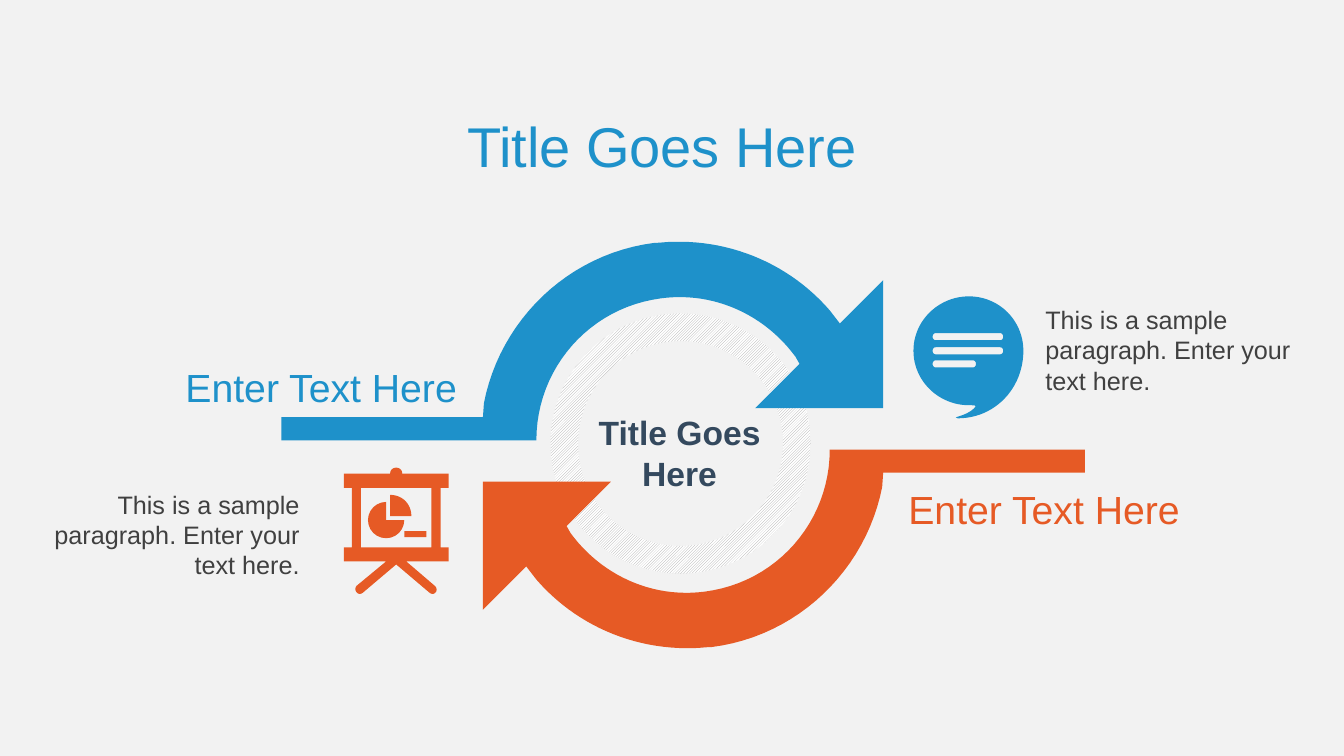
from dataclasses import dataclass

from pptx import Presentation
from pptx.dml.color import RGBColor
from pptx.enum.dml import MSO_PATTERN
from pptx.enum.shapes import MSO_SHAPE as Kind
from pptx.enum.text import MSO_ANCHOR, MSO_AUTO_SIZE as Fit, PP_ALIGN as Align
from pptx.util import Cm, Pt

BLUE, ORANGE, NAVY, GREY = "1E91CA", "E65A25", "34495E", "404040"
SAMPLE = "This is a sample paragraph. Enter your text here."

# A step holds one point for a line, or three points for a curve.
Step = tuple[float, ...]
Loop = list[Step]


@dataclass
class Label:
    text: str
    box: Step
    size: int
    hue: str
    align: Align = Align.CENTER
    bold: bool = False
    wrap: bool = True


def inch(num: float) -> Cm:
    return Cm(num * 2.54)


def color(code: str) -> RGBColor:
    return RGBColor.from_string(code)


def paint(shape, hue: str) -> None:
    shape.shadow.inherit = False
    shape.fill.solid()
    shape.fill.fore_color.rgb = color(hue)
    shape.line.fill.background()


def trace(loop: Loop, count: int = 24) -> list[tuple[int, int]]:
    """Turn lines and cubic curves into a list of points."""
    spots = [loop[0]]
    for step in loop[1:]:
        if len(step) == 2:
            spots.append(step)
            continue
        ends = (spots[-1], step[:2], step[2:4], step[4:])
        for i in range(1, count + 1):
            t = i / count
            parts = ((1 - t) ** 3, 3 * t * (1 - t) ** 2, 3 * t * t * (1 - t), t ** 3)
            spots.append(tuple(sum(w * p[k] for w, p in zip(parts, ends))
                               for k in (0, 1)))
    return [(inch(x), inch(y)) for x, y in spots]


def draw(shapes, loops: list[Loop], hue: str) -> None:
    """Draw one outline; later loops cut holes in the first."""
    first, *holes = [trace(loop) for loop in loops]
    pen = shapes.build_freeform(*first[0])
    pen.add_line_segments(first[1:], close=True)
    for hole in holes:
        pen.move_to(*hole[0])
        pen.add_line_segments(hole[1:], close=True)
    paint(pen.convert_to_shape(), hue)


def turn(loop: Loop) -> Loop:
    """Rotate a loop half a turn about the middle of the cycle."""
    return [tuple((13.55, 8.83)[i % 2] - num for i, num in enumerate(step))
            for step in loop]


def slot(left: float, right: float, mid: float) -> Loop:
    """Give a bar with round ends."""
    top, base, bulge = mid - 0.035, mid + 0.035, 0.04
    return [(left, top), (right, top),
            (right + bulge, top, right + bulge, base, right, base),
            (left, base), (left - bulge, base, left - bulge, top, left, top)]


def place(shape, box: Step) -> None:
    shape.left, shape.top, shape.width, shape.height = map(inch, box)


def write(shape, label: Label) -> None:
    para = shape.text_frame.paragraphs[0]
    para.alignment = label.align
    run = para.add_run()
    run.text = label.text
    font = run.font
    font.name, font.size, font.bold = "Arial", Pt(label.size), label.bold
    font.color.rgb = color(label.hue)


ARROW: Loop = [
    (6.67, 2.4), (7.28, 2.38, 7.85, 2.64, 8.23, 3.08), (8.33, 3.21),
    (8.76, 2.78), (8.76, 4.05), (7.49, 4.05), (7.93, 3.61), (7.89, 3.54),
    (7.59, 3.13, 7.09, 2.89, 6.56, 2.96), (5.85, 3.05, 5.32, 3.65, 5.32, 4.37),
    (2.79, 4.37), (2.79, 4.14), (4.79, 4.14), (4.8, 4),
    (4.96, 3.18, 5.63, 2.52, 6.49, 2.41), (6.55, 2.41, 6.61, 2.4, 6.67, 2.4)]
BUBBLE: Loop = [
    (9.61, 2.94), (9.91, 2.94, 10.15, 3.18, 10.15, 3.48),
    (10.15, 3.85, 9.87, 4.15, 9.5, 4.15), (9.48, 4.14),
    (9.55, 4.12, 9.63, 4.09, 9.67, 4.04), (9.69, 4.02, 9.65, 4.02, 9.61, 4.02),
    (9.31, 4.02, 9.06, 3.78, 9.06, 3.48), (9.06, 3.18, 9.31, 2.94, 9.61, 2.94)]
BOARD: Loop = [
    (3.87, 4.7), (3.87, 4.62, 3.99, 4.62, 3.99, 4.7), (4.45, 4.7), (4.45, 4.84),
    (4.37, 4.84), (4.37, 5.43), (4.45, 5.43), (4.45, 5.57), (4.03, 5.57),
    (4.31, 5.81), (4.36, 5.85, 4.31, 5.92, 4.26, 5.88), (3.93, 5.6),
    (3.6, 5.88), (3.55, 5.92, 3.5, 5.85, 3.54, 5.81), (3.83, 5.57),
    (3.41, 5.57), (3.41, 5.43), (3.49, 5.43), (3.49, 4.84), (3.41, 4.84), (3.41, 4.7)]
SCREEN: Loop = [(3.58, 4.84), (3.58, 5.43), (4.28, 5.43), (4.28, 4.84)]
WEDGE: Loop = [(3.87, 4.91), (3.99, 4.91, 4.08, 5, 4.08, 5.12), (3.87, 5.12)]

HEAD = Label("Title Goes Here", (4.28, 1.19, 4.57, 0.49), 40, BLUE)
LABELS = [
    Label("Enter Text Here", (1.72, 3.56, 2.93, 0.57), 28, BLUE, wrap=False),
    Label("Enter Text Here", (8.89, 4.77, 2.93, 0.57), 28, ORANGE, wrap=False),
    Label("Title Goes Here", (5.78, 4.04, 1.92, 0.91), 24, NAVY, bold=True),
    Label(SAMPLE, (0.23, 4.8, 2.84, 1.01), 18, GREY, Align.RIGHT),
    Label(SAMPLE, (10.27, 2.97, 2.84, 1.01), 18, GREY, Align.LEFT),
]


def add_ring(shapes) -> None:
    ring = shapes.add_shape(Kind.DONUT, *map(inch, (5.46, 3.11, 2.58, 2.58)))
    ring.adjustments[0] = 0.106
    paint(ring, "FFFFFF")
    ring.fill.patterned()
    ring.fill.pattern = MSO_PATTERN.DARK_UPWARD_DIAGONAL
    ring.fill.fore_color.rgb = color("A6A6A6")
    ring.fill.back_color.rgb = color("FFFFFF")


def add_board(shapes) -> None:
    icon = shapes.add_group_shape().shapes
    draw(icon, [BOARD, SCREEN], ORANGE)
    draw(icon, [WEDGE], ORANGE)
    for kind, box in ((Kind.PIE, (3.65, 4.98, 0.36, 0.36)),
                      (Kind.RECTANGLE, (4.01, 5.27, 0.22, 0.06))):
        paint(icon.add_shape(kind, *map(inch, box)), ORANGE)


def main() -> None:
    deck = Presentation()
    deck.slide_width, deck.slide_height = inch(13.33), inch(7.5)
    slide = deck.slides.add_slide(deck.slide_layouts[5])
    slide.background.fill.solid()
    slide.background.fill.fore_color.rgb = color("F2F2F2")
    shapes = slide.shapes

    title = shapes.title
    place(title, HEAD.box)
    title.text_frame.auto_size = Fit.NONE
    title.text_frame.vertical_anchor = MSO_ANCHOR.MIDDLE
    write(title, HEAD)

    add_ring(shapes)
    draw(shapes, [ARROW], BLUE)
    draw(shapes, [turn(ARROW)], ORANGE)
    add_board(shapes)
    bars = [slot(9.28, 9.92, 3.34), slot(9.28, 9.92, 3.48), slot(9.28, 9.65, 3.61)]
    draw(shapes, [BUBBLE, *bars], BLUE)

    for label in LABELS:
        box = shapes.add_textbox(*map(inch, label.box))
        box.text_frame.word_wrap = label.wrap
        box.text_frame.auto_size = Fit.SHAPE_TO_FIT_TEXT
        write(box, label)
    deck.save("out.pptx")


if __name__ == "__main__":
    main()
